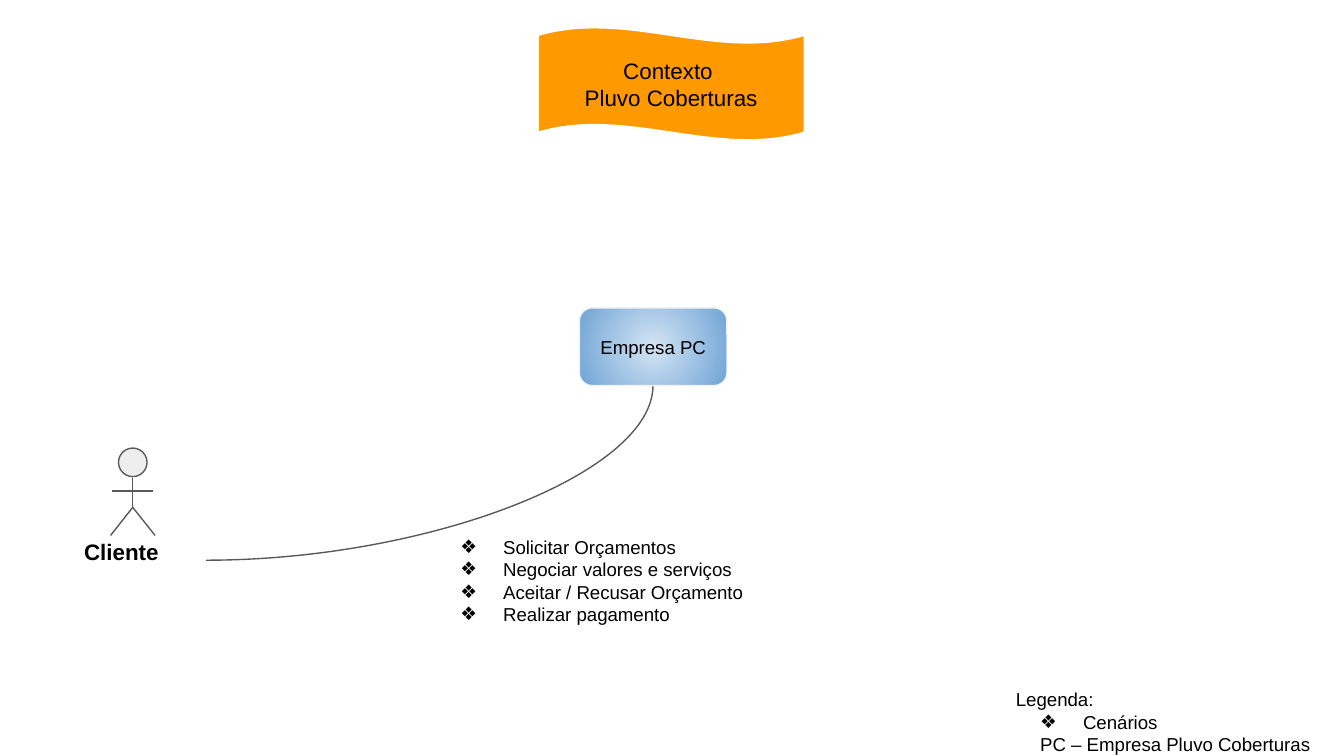
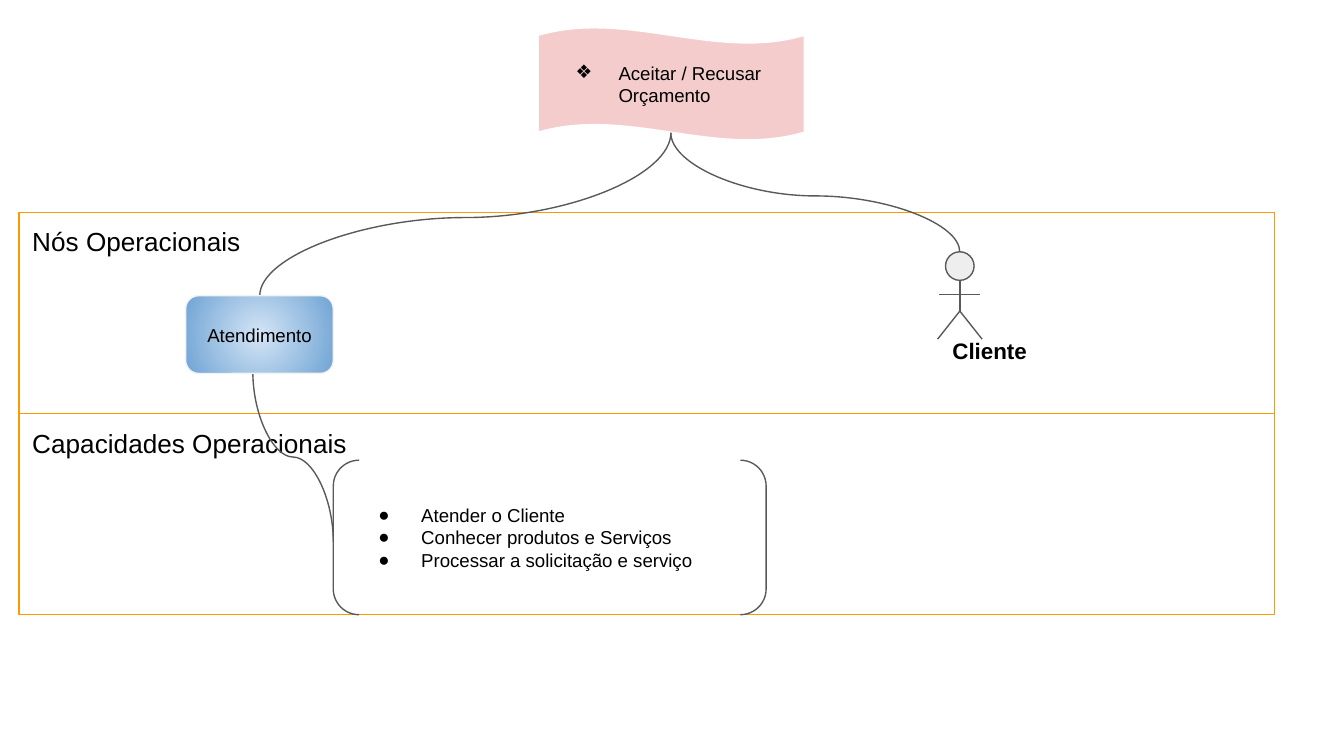
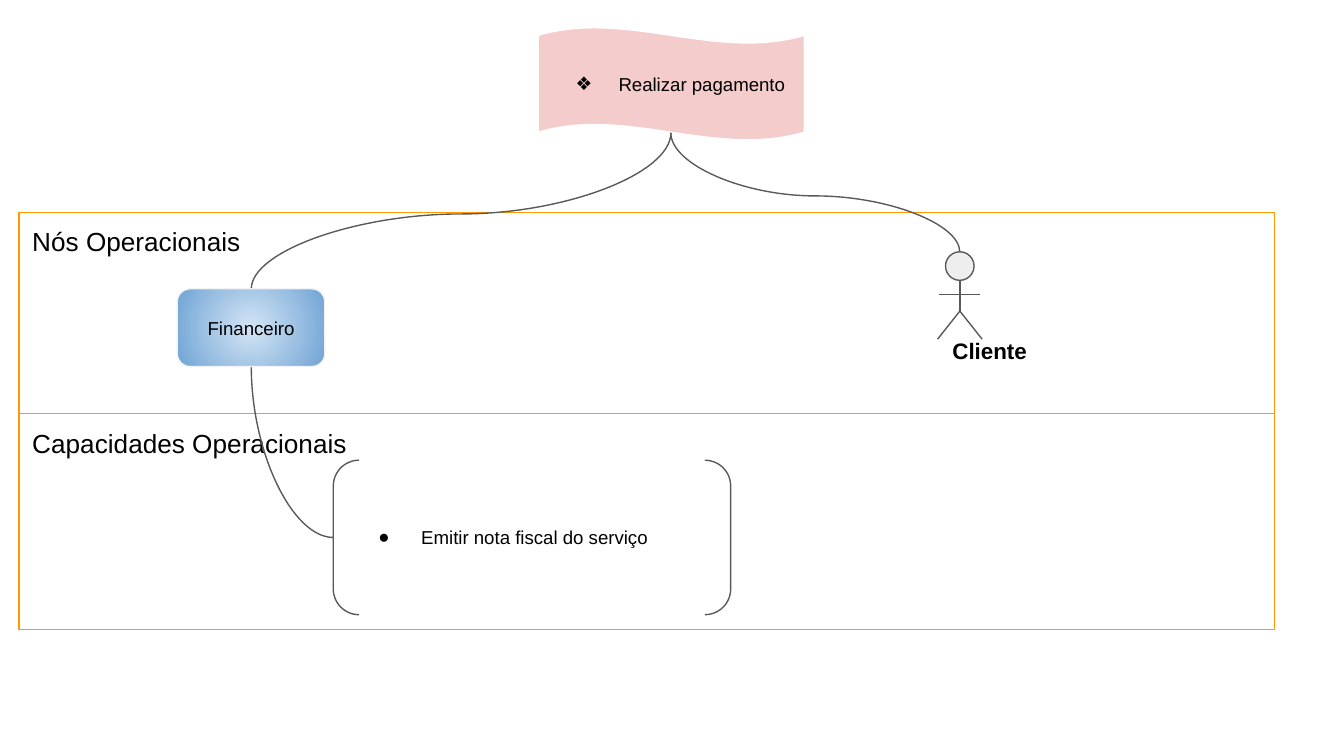
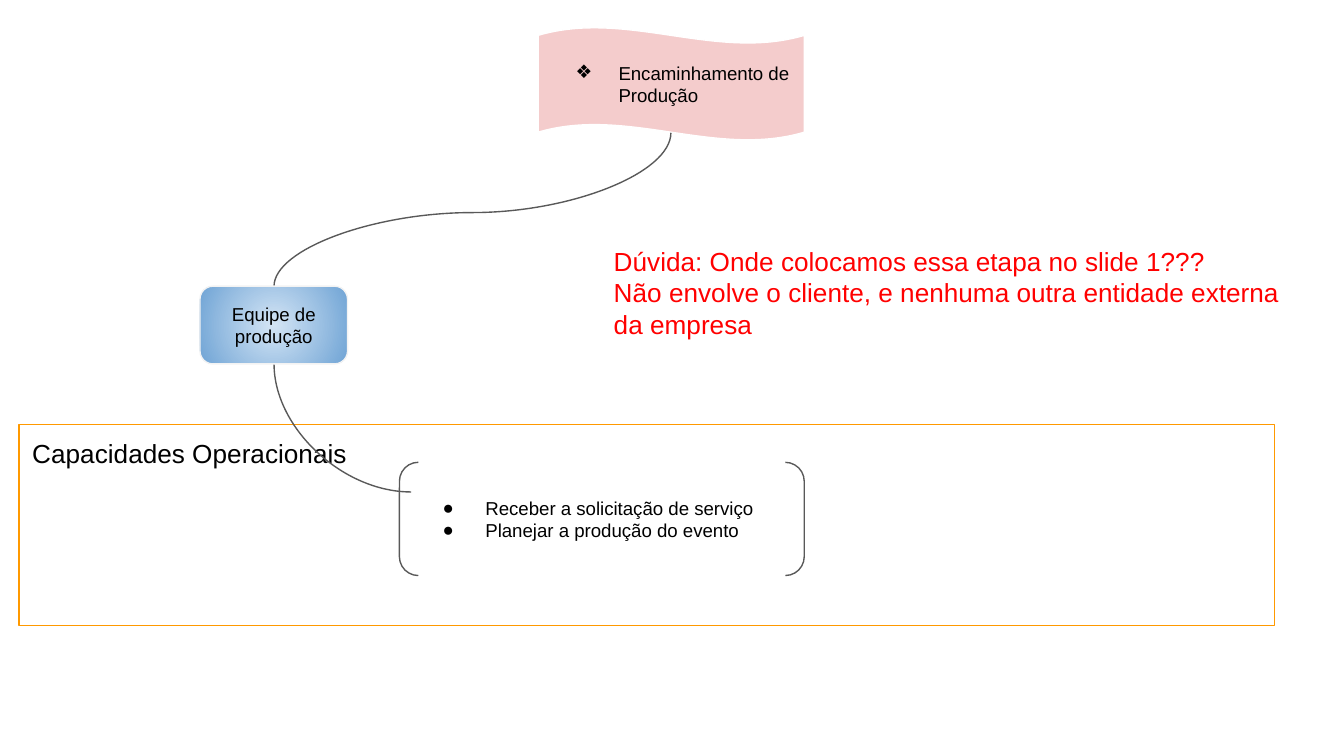
"""Build the four operational context slides of Pluvo Coberturas."""
from lxml.etree import SubElement
from pptx import Presentation
from pptx.dml.color import RGBColor
from pptx.enum.shapes import MSO_CONNECTOR, MSO_SHAPE
from pptx.enum.text import MSO_ANCHOR, PP_ALIGN
from pptx.oxml.ns import qn
from pptx.util import Cm, Pt

COLORS = {
    "black": "000000", "white": "FFFFFF", "red": "FF0000", "orange": "FF9900",
    "pink": "F4CCCC", "gray": "595959", "head": "EEEEEE", "node_edge": "F3F3F3",
    "node_center": "D4E5F5", "node_rim": "70A4D5",
}
BULLETS = "❖●"
BANNER_BOX = (10.17, 0.52, 5.03, 2.13)
BANNER_TIP = (12.68, 2.51)
NODE_WIDTH, NODE_HEIGHT = 2.79, 1.47
PANEL_LEFT, PANEL_WIDTH = 0.36, 23.73
HEAD_SIZE = 0.54
ACTOR_LINES = [
    ((0, 0.56), (0, 1.12)),
    ((-0.39, 0.81), (0.39, 0.81)),
    ((0, 1.12), (-0.42, 1.65)),
    ((0.42, 1.65), (0, 1.12)),
]
CLIENT = {"top": (18.14, 4.76), "label": (16.99, 6.12, 3.43, 0.97)}

SLIDES = [
    {
        "banner": ["Contexto ", "Pluvo Coberturas"], "banner_color": "orange", "banner_size": 12,
        "panels": [],
        "node": ("Empresa PC", 10.95, 5.82),
        "curves": [((12.34, 7.29), (3.89, 10.59), None)],
        "actor": {"top": (2.51, 8.47), "label": (0.68, 9.93, 3.23, 1.32)},
        "texts": [
            ((18.95, 12.76, 6.27, 1.32), 10, "black",
             ["Legenda:", "❖Cenários", "PC – Empresa Pluvo Coberturas"]),
            ((7.99, 9.88, 8.43, 2.57), 10, "black",
             ["❖Solicitar Orçamentos", "❖Negociar valores e serviços",
              "❖Aceitar / Recusar Orçamento", "❖Realizar pagamento"]),
        ],
    },
    {
        "banner": ["❖Aceitar / Recusar Orçamento"],
        "panels": [("Nós Operacionais", 4.02, 3.8), ("Capacidades Operacionais", 7.82, 3.8)],
        "node": ("Atendimento", 3.51, 5.59),
        "curves": [((4.91, 5.59), BANNER_TIP, 0.48), ((4.78, 7.04), (6.3, 10.24), 0.5),
                   (CLIENT["top"], BANNER_TIP, 0.47)],
        "bracket": (6.3, 8.7, 8.18, 2.92),
        "skills": ["●Atender o Cliente", "●Conhecer produtos e Serviços",
                   "●Processar a solicitação e serviço"],
        "actor": CLIENT,
    },
    {
        "banner": ["❖Realizar pagamento"],
        "panels": [("Nós Operacionais", 4.02, 3.8), ("Capacidades Operacionais", 7.82, 4.08)],
        "node": ("Financeiro", 3.35, 5.46),
        "curves": [((4.75, 5.46), BANNER_TIP, 0.48), ((4.75, 6.93), (6.3, 10.16), None),
                   (CLIENT["top"], BANNER_TIP, 0.47)],
        "bracket": (6.3, 8.7, 7.51, 2.92),
        "skills": ["●Emitir nota fiscal do serviço"],
        "actor": CLIENT,
    },
    {
        "banner": ["❖Encaminhamento de Produção"],
        "panels": [("Capacidades Operacionais", 8.02, 3.8)],
        "node": ("Equipe de produção", 3.78, 5.41),
        "curves": [((5.18, 5.41), BANNER_TIP, 0.48), ((5.18, 6.88), (7.77, 9.3), None)],
        "bracket": (7.55, 8.74, 7.65, 2.14),
        "skills": ["●Receber a solicitação de serviço", "●Planejar a produção do evento"],
        "texts": [
            ((11.35, 4.39, 13.72, 2.62), 14, "red",
             ["Dúvida: Onde colocamos essa etapa no slide 1???",
              "Não envolve o cliente, e nenhuma outra entidade externa da empresa"]),
        ],
    },
]


def add_box(shapes, kind, box, lines=(), size=10, color="black", fill=None, edge=None,
            align=PP_ALIGN.LEFT, anchor=MSO_ANCHOR.TOP, bold=False):
    """Add a preset shape, or a text box when kind is None, with its paragraphs."""
    bounds = [Cm(value) for value in box]
    if kind is None:
        shape = shapes.add_textbox(*bounds)
    else:
        shape = shapes.add_shape(kind, *bounds)
        shape.shadow.inherit = False
        shape.line.color.rgb = RGBColor.from_string(COLORS[edge])
        shape.line.width = Pt(0.75)
        if fill:
            shape.fill.solid()
            shape.fill.fore_color.rgb = RGBColor.from_string(COLORS[fill])
        else:
            shape.fill.background()
    text_frame = shape.text_frame
    text_frame.word_wrap = True
    text_frame.vertical_anchor = anchor
    text_frame.margin_left = text_frame.margin_right = Cm(0.25)
    text_frame.margin_top = text_frame.margin_bottom = Cm(0.25)
    text_frame.text = "\n".join(line.lstrip(BULLETS) for line in lines)
    for line, paragraph in zip(lines, text_frame.paragraphs):
        paragraph.alignment = align
        font = paragraph.runs[0].font
        font.name, font.size, font.bold = "Arial", Pt(size), bold
        font.color.rgb = RGBColor.from_string(COLORS[color])
        if line[0] in BULLETS:
            properties = paragraph._p.get_or_add_pPr()
            properties.set("marL", str(Cm(1.27)))
            properties.set("indent", str(-Cm(0.81)))
            bullet_color = SubElement(properties, qn("a:buClr"))
            SubElement(bullet_color, qn("a:srgbClr"), val=COLORS["black"])
            SubElement(properties, qn("a:buFont"), typeface="Arial")
            SubElement(properties, qn("a:buChar"), char=line[0])
    return shape


def add_line(shapes, kind, start, end):
    """Add a thin gray connector without shadow."""
    connector = shapes.add_connector(kind, *[Cm(value) for value in (*start, *end)])
    connector.line.color.rgb = RGBColor.from_string(COLORS["gray"])
    connector.line.width = Pt(0.75)
    SubElement(connector._element.spPr, qn("a:effectLst"))
    return connector


presentation = Presentation()
presentation.slide_width = Cm(25.4)
presentation.slide_height = Cm(14.29)

for content in SLIDES:
    slide = presentation.slides.add_slide(presentation.slide_layouts[6])
    shapes = slide.shapes

    for title, top, height in content["panels"]:
        add_box(shapes, MSO_SHAPE.RECTANGLE, (PANEL_LEFT, top, PANEL_WIDTH, height), [title],
                size=14, edge="orange")

    centered = "banner_color" in content
    banner = add_box(shapes, MSO_SHAPE.WAVE, BANNER_BOX, content["banner"],
                     size=content.get("banner_size", 10),
                     fill=content.get("banner_color", "pink"), edge="white",
                     align=PP_ALIGN.CENTER if centered else PP_ALIGN.LEFT,
                     anchor=MSO_ANCHOR.MIDDLE)
    banner.adjustments[0] = 0.07
    banner.adjustments[1] = 0

    for (start_x, start_y), (end_x, end_y), bend in content["curves"]:
        center_x, center_y = (start_x + end_x) / 2, (start_y + end_y) / 2
        half_length, half_breadth = abs(end_y - start_y) / 2, abs(end_x - start_x) / 2
        if (end_x > start_x) == (end_y > start_y):
            half_length = -half_length
        curve = add_line(shapes, MSO_CONNECTOR.CURVE,
                         (center_x - half_length, center_y - half_breadth),
                         (center_x + half_length, center_y + half_breadth))
        properties = curve._element.spPr
        turn = 270 if end_x > start_x else 90
        properties.find(qn("a:xfrm")).set("rot", str(turn * 60000))
        geometry = properties.find(qn("a:prstGeom"))
        if bend is None:
            geometry.set("prst", "curvedConnector2")
        else:
            SubElement(geometry.find(qn("a:avLst")), qn("a:gd"), name="adj1",
                       fmla=f"val {round(bend * 100000)}")

    name, left, top = content["node"]
    node = add_box(shapes, MSO_SHAPE.ROUNDED_RECTANGLE, (left, top, NODE_WIDTH, NODE_HEIGHT),
                   [name], edge="node_edge", align=PP_ALIGN.CENTER, anchor=MSO_ANCHOR.MIDDLE)
    node.fill.gradient()
    for stop, position, color in zip(node.fill.gradient_stops, (0, 1), ("node_center", "node_rim")):
        stop.position = position
        stop.color.rgb = RGBColor.from_string(COLORS[color])
    gradient = node._element.spPr.find(qn("a:gradFill"))
    gradient.remove(gradient.find(qn("a:lin")))
    circle = SubElement(gradient, qn("a:path"), path="circle")
    SubElement(circle, qn("a:fillToRect"), l="50000", t="50000", r="50000", b="50000")

    if "bracket" in content:
        add_box(shapes, MSO_SHAPE.DOUBLE_BRACKET, content["bracket"], content["skills"],
                edge="gray", anchor=MSO_ANCHOR.MIDDLE)

    if "actor" in content:
        actor = shapes.add_group_shape().shapes
        center_x, head_top = content["actor"]["top"]
        add_box(actor, MSO_SHAPE.FLOWCHART_CONNECTOR,
                (center_x - HEAD_SIZE / 2, head_top, HEAD_SIZE, HEAD_SIZE),
                fill="head", edge="gray")
        for start, end in ACTOR_LINES:
            add_line(actor, MSO_CONNECTOR.STRAIGHT,
                     (center_x + start[0], head_top + start[1]),
                     (center_x + end[0], head_top + end[1]))
        add_box(actor, None, content["actor"]["label"], ["Cliente"], size=12,
                align=PP_ALIGN.CENTER, bold=True)

    for box, size, color, lines in content.get("texts", []):
        text_box = add_box(shapes, None, box, lines, size=size, color=color)
        if lines[0] == "Legenda:":
            properties = text_box.text_frame.paragraphs[-1]._p.get_or_add_pPr()
            properties.set("marL", str(Cm(0.46)))

presentation.save("out.pptx")
